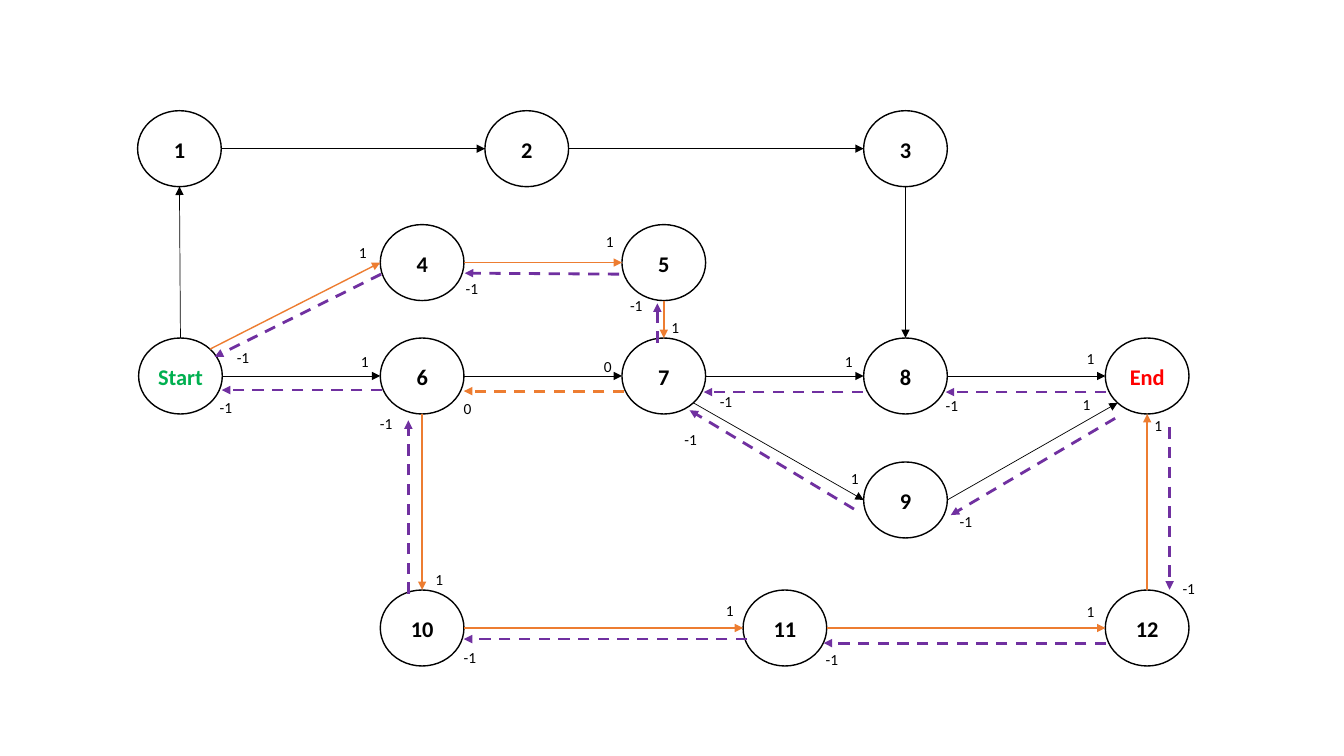
import math
import pptx
import pptx.dml.color
import pptx.enum.dml
import pptx.enum.shapes
import pptx.enum.text
import pptx.oxml
import pptx.oxml.ns
import pptx.util

BLACK, ORANGE, PURPLE = "000000", "ED7D31", "7030A0"
GREEN, RED = "00B050", "FF0000"

# Connection sites of an ellipse, counted anticlockwise from the top
TOP, LEFT, LOW_LEFT, BOTTOM, LOW_RIGHT, RIGHT, TOP_RIGHT = 0, 2, 3, 4, 5, 6, 7


def paint(code):
    return pptx.dml.color.RGBColor.from_string(code)


class Graph:
    """Draws on a grid of cells, each a tenth of an inch square."""
    cell = 0.1
    font = "Calibri"
    wide, high = 8.3, 7.54  # node size in cells

    def __init__(self, slide):
        self.shapes = slide.shapes
        self.nodes = {}

    def size(self, count):
        return pptx.util.Inches(count * self.cell)

    def text(self, words, col, row, wide, high, size, color=BLACK, bold=False, center=False):
        box = self.shapes.add_textbox(*map(self.size, (col, row, wide, high)))
        frame = box.text_frame
        frame.word_wrap = True
        frame.auto_size = pptx.enum.text.MSO_AUTO_SIZE.SHAPE_TO_FIT_TEXT
        para = frame.paragraphs[0]
        para.text = words
        if center:
            para.alignment = pptx.enum.text.PP_ALIGN.CENTER
        para.font.name, para.font.size = self.font, pptx.util.Pt(size)
        para.font.bold = bold
        para.font.color.rgb = paint(color)

    def node(self, name, col, row):
        """Circle centred on a grid point."""
        place = (col - self.wide / 2, row - self.high / 2, self.wide, self.high)
        shape = self.shapes.add_shape(
            pptx.enum.shapes.MSO_SHAPE.OVAL, *map(self.size, place))
        shape.shadow.inherit = False
        shape.fill.background()
        shape.line.color.rgb = paint(BLACK)
        shape.line.width = pptx.util.Pt(1)
        self.nodes[name] = (shape, col, row)

    def title(self, name, color=BLACK):
        """Name of a node, centred on it."""
        _, col, row = self.nodes[name]
        self.text(name, col - 5.95, row - 1.77, 11.9, 3.7, 16, color, True, True)

    def mark(self, words, col, row):
        self.text(words, col, row, 3.8, 2.9, 11)

    def arrow(self, start, end, color, width, dash=False):
        line = self.shapes.add_connector(
            pptx.enum.shapes.MSO_CONNECTOR.STRAIGHT, *map(self.size, start + end))
        line.line.color.rgb = paint(color)
        line.line.width = pptx.util.Pt(width)
        if dash:
            line.line.dash_style = pptx.enum.dml.MSO_LINE.DASH
        props = line.element.spPr
        tip = pptx.oxml.ns.qn("a:tailEnd")
        props.find(pptx.oxml.ns.qn("a:ln")).append(
            props.makeelement(tip, {"type": "triangle"}))
        props.append(props.makeelement(pptx.oxml.ns.qn("a:effectLst"), {}))
        return line

    def site(self, name, place):
        _, col, row = self.nodes[name]
        angle = math.radians(90 + 45 * place)
        return (col + self.wide / 2 * math.cos(angle),
                row - self.high / 2 * math.sin(angle))

    def link(self, first, leave, last, reach, color):
        """Arrow glued to two nodes."""
        width = 1 if color == ORANGE else 0.5
        line = self.arrow(self.site(first, leave), self.site(last, reach), color, width)
        glue = line.element.find(".//" + pptx.oxml.ns.qn("p:cNvCxnSpPr"))
        for tag, name, place in (("a:stCxn", first, leave), ("a:endCxn", last, reach)):
            ident = str(self.nodes[name][0].shape_id)
            glue.append(glue.makeelement(
                pptx.oxml.ns.qn(tag), {"id": ident, "idx": str(place)}))


# Node columns are evenly spaced; rows run from top to bottom
COLS = [17.9 + 23.97 * step for step in range(5)]
ROWS = [14.75, 26.05, 37.3, 49.6, 62.3]

NODES = {
    "1": (17.8, ROWS[0]), "2": (52.25, ROWS[0]), "3": (COLS[3], ROWS[0]),
    "4": (COLS[1], ROWS[1]), "5": (COLS[2], ROWS[1]),
    "Start": (COLS[0], ROWS[2]), "6": (COLS[1], ROWS[2]), "7": (COLS[2], ROWS[2]),
    "8": (COLS[3], ROWS[2]), "End": (COLS[4], ROWS[2]),
    "9": (COLS[3], ROWS[3]),
    "10": (COLS[1], ROWS[4]), "11": (77.85, ROWS[4]), "12": (COLS[4], ROWS[4]),
}

LINKS = [
    ("Start", TOP, "1", BOTTOM, BLACK), ("1", RIGHT, "2", LEFT, BLACK),
    ("2", RIGHT, "3", LEFT, BLACK), ("3", BOTTOM, "8", TOP, BLACK),
    ("8", RIGHT, "End", LEFT, BLACK), ("9", RIGHT, "End", LOW_LEFT, BLACK),
    ("12", TOP, "End", BOTTOM, ORANGE), ("11", RIGHT, "12", LEFT, ORANGE),
    ("10", RIGHT, "11", LEFT, ORANGE), ("6", BOTTOM, "10", TOP, ORANGE),
    ("Start", TOP_RIGHT, "4", LEFT, ORANGE), ("Start", RIGHT, "6", LEFT, BLACK),
    ("4", RIGHT, "5", LEFT, ORANGE), ("7", LOW_RIGHT, "9", LEFT, BLACK),
    ("5", BOTTOM, "7", TOP, ORANGE), ("7", RIGHT, "8", LEFT, BLACK),
    ("6", RIGHT, "7", LEFT, BLACK),
]

# Dashed return arrows: start, end, colour
BACKS = [
    ((37.9, 38.7), (22, 38.7), PURPLE), ((61.9, 38.8), (46, 38.8), ORANGE),
    ((85.6, 38.9), (69.8, 38.9), PURPLE), ((109.7, 38.9), (93.8, 38.9), PURPLE),
    ((84.7, 50.5), (68.4, 40.7), PURPLE), ((110.6, 41.5), (94.3, 51.1), PURPLE),
    ((40.5, 58.9), (40.5, 41.7), PURPLE), ((74.1, 63.4), (46, 63.4), PURPLE),
    ((109.7, 63.8), (81.7, 63.8), PURPLE), ((116, 42.4), (116, 58.5), PURPLE),
    ((65.2, 34), (65.2, 30.1), PURPLE), ((61.4, 27.2), (46.1, 27.1), PURPLE),
    ((37.8, 27.2), (21.3, 35.4), PURPLE),
]

# Flow values and the top left corners of their labels
MARKS = {
    "1": [(34.8, 34.4), (82.8, 34.4), (83.4, 46), (106.4, 38.7), (106.8, 34.1),
          (34.6, 23.6), (59.1, 22.5), (65.6, 31.1), (42.2, 56.1), (71, 59.1),
          (106.8, 59.2), (113.5, 40.8)],
    "0": [(58.9, 34.9), (45, 39.1)],
    "-1": [(20.8, 39), (70.4, 38.4), (92.8, 38.8), (66.9, 42.2), (94.2, 50.3),
           (36.7, 40.6), (45, 63.8), (80.9, 64), (116.3, 57), (22.5, 34),
           (45.2, 27.2), (61.5, 28.9)],
}


def main():
    deck = pptx.Presentation()
    deck.slide_width = pptx.util.Inches(13.33)
    deck.slide_height = pptx.util.Inches(7.5)
    graph = Graph(deck.slides.add_slide(deck.slide_layouts[6]))

    # Nodes and forward arrows
    for name, point in NODES.items():
        graph.node(name, *point)
    for link in LINKS:
        graph.link(*link)

    # Node names
    for name in NODES:
        graph.title(name, {"Start": GREEN, "End": RED}.get(name, BLACK))

    # Return arrows and flow values
    for start, end, color in BACKS:
        graph.arrow(start, end, color, 2, dash=True)
    for words, points in MARKS.items():
        for point in points:
            graph.mark(words, *point)

    deck.save("out.pptx")


if __name__ == "__main__":
    main()
